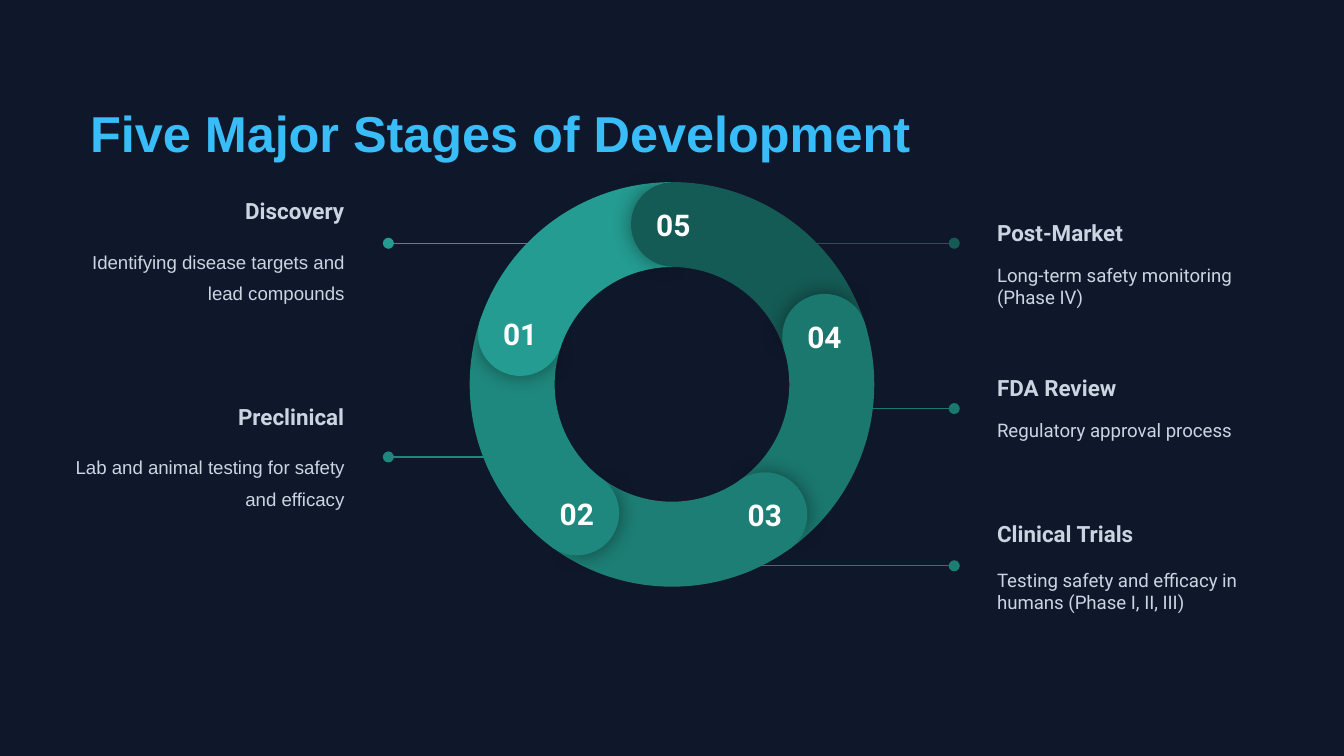
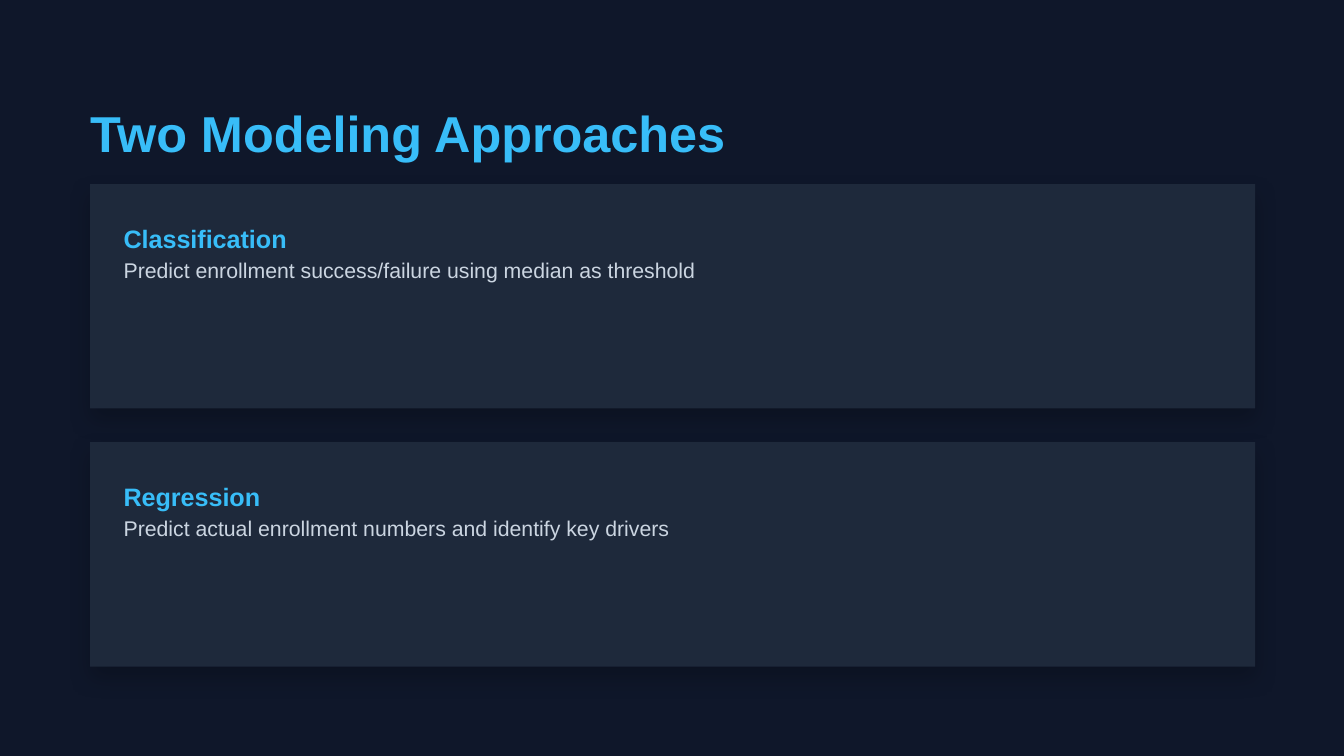
import math

import lxml.etree
import pptx
import pptx.dml.color
import pptx.enum.shapes
import pptx.enum.text
import pptx.oxml.ns
import pptx.util

Inches = pptx.util.Inches
Pt = pptx.util.Pt
RGBColor = pptx.dml.color.RGBColor
SHAPE = pptx.enum.shapes.MSO_SHAPE
ALIGN = pptx.enum.text.PP_ALIGN
ANCHOR = pptx.enum.text.MSO_ANCHOR
qn = pptx.oxml.ns.qn

NAVY = RGBColor(0x0F, 0x17, 0x2A)
SLATE = RGBColor(0x1E, 0x29, 0x3B)
SKY = RGBColor(0x38, 0xBD, 0xF8)
MIST = RGBColor(0xCB, 0xD5, 0xE1)
WHITE = RGBColor(0xFF, 0xFF, 0xFF)
TEALS = [
    RGBColor(0x24, 0x9C, 0x91),
    RGBColor(0x1F, 0x88, 0x7E),
    RGBColor(0x1D, 0x7E, 0x75),
    RGBColor(0x1B, 0x78, 0x6F),
    RGBColor(0x15, 0x5B, 0x55),
]

LEFT = dict(x=0.34, dot=2.89, align=ALIGN.RIGHT, font="Arial", lead=1.4)
RIGHT = dict(x=7.32, dot=7.1, align=ALIGN.LEFT, font="Roboto", lead=None)

STAGES = [
    dict(name="Discovery", note="Identifying disease targets and lead compounds",
         side=LEFT, top=1.36, line=1.81, start=4.23, gap=9.4, pad=0.1),
    dict(name="Preclinical", note="Lab and animal testing for safety and efficacy",
         side=LEFT, top=2.89, line=3.4, start=3.91, gap=9.4, pad=0.1),
    dict(name="Clinical Trials",
         note="Testing safety and efficacy in humans (Phase I, II, III)",
         side=RIGHT, top=3.71, line=4.21, start=5.09, gap=11.7, pad=0.1),
    dict(name="FDA Review", note="Regulatory approval process",
         side=RIGHT, top=2.53, line=3.04, start=6.14, gap=9.4, pad=0.1),
    dict(name="Post-Market", note="Long-term safety monitoring (Phase IV)",
         side=RIGHT, top=1.36, line=1.81, start=5.7, gap=9.4, pad=0.3),
]

CARDS = [
    ("Classification",
     "Predict enrollment success/failure using median as threshold"),
    ("Regression",
     "Predict actual enrollment numbers and identify key drivers"),
]

MID_X, MID_Y = 5.0, 2.86
RING, KNOB, ORBIT = 3.01, 0.63, 1.19
STEP = 72


def write(frame, text, size, color, font="Arial", bold=False,
          align=ALIGN.LEFT, lead=None, before=None):
    para = frame.add_paragraph() if frame.text else frame.paragraphs[0]
    para.alignment = align
    if lead:
        para.line_spacing = lead
    if before:
        para.space_before = Pt(before)
    run = para.add_run()
    run.text = text
    run.font.size = Pt(size)
    run.font.name = font
    run.font.bold = bold
    run.font.color.rgb = color


def setup(frame, inset=0, top=None, anchor=ANCHOR.TOP):
    frame.word_wrap = True
    frame.auto_size = pptx.enum.text.MSO_AUTO_SIZE.NONE
    frame.vertical_anchor = anchor
    frame.margin_left = frame.margin_right = Inches(inset)
    frame.margin_bottom = Inches(inset)
    frame.margin_top = Inches(inset if top is None else top)
    return frame


def add_box(shapes, x, y, w, h, **kind):
    box = shapes.add_textbox(Inches(x), Inches(y), Inches(w), Inches(h))
    return setup(box.text_frame, **kind)


def add_form(shapes, kind, x, y, w, h, color, turn=0, adjust=()):
    form = shapes.add_shape(kind, Inches(x), Inches(y), Inches(w), Inches(h))
    form.shadow.inherit = False
    form.fill.solid()
    form.fill.fore_color.rgb = color
    form.line.fill.background()
    form.rotation = turn % 360
    for i, value in enumerate(adjust):
        form.adjustments[i] = value
    return form


def cast(form, alpha, blur, dist=0, angle=0):
    effects = form._element.spPr.find(qn("a:effectLst"))
    shade = lxml.etree.SubElement(
        effects, qn("a:outerShdw"), blurRad=str(Pt(blur)), dist=str(Pt(dist)),
        dir=str(angle * 60000), algn="ctr", rotWithShape="0")
    tone = lxml.etree.SubElement(shade, qn("a:srgbClr"), val="000000")
    lxml.etree.SubElement(tone, qn("a:alpha"), val=str(alpha * 1000))


def add_lead(shapes, start, end, y, color):
    line = shapes.add_connector(
        pptx.enum.shapes.MSO_CONNECTOR.STRAIGHT,
        Inches(start), Inches(y), Inches(end), Inches(y))
    line.line.color.rgb = color
    line.line.width = Pt(0.75)
    props = line._element.spPr
    lxml.etree.SubElement(props.find(qn("a:ln")), qn("a:tailEnd"), type="oval")
    lxml.etree.SubElement(props, qn("a:effectLst"))


def add_slide(deck, text):
    slide = deck.slides.add_slide(deck.slide_layouts[5])
    title = slide.shapes.title
    title.left, title.top = Inches(0.67), Inches(0.67)
    title.width, title.height = Inches(8.84), Inches(0.45)
    write(setup(title.text_frame), text, 27, SKY, bold=True, lead=1.2)
    return slide


def add_stage(slide, stage, color):
    shapes = slide.shapes.add_group_shape().shapes
    side = stage["side"]
    add_lead(shapes, stage["start"], side["dot"], stage["line"], color)
    frame = add_box(shapes, side["x"], stage["top"], 2.32, 1.01, inset=0.1,
                    top=stage["pad"], anchor=ANCHOR.MIDDLE)
    write(frame, stage["name"], 12, MIST, font="Roboto", bold=True,
          align=side["align"])
    write(frame, stage["note"], 10, MIST, font=side["font"],
          align=side["align"], lead=side["lead"], before=stage["gap"])


def add_ring(slide):
    shapes = slide.shapes.add_group_shape().shapes
    for i, color in enumerate(TEALS):
        add_form(shapes, SHAPE.BLOCK_ARC, MID_X - RING / 2, MID_Y - RING / 2,
                 RING, RING, color, 348.6 - STEP * i,
                 (125.5, 169.1, 0.21))
    for i, color in enumerate(TEALS):
        angle = math.radians(198.5 - STEP * i)
        x = MID_X + ORBIT * math.cos(angle)
        y = MID_Y + ORBIT * math.sin(angle)
        spot = (x - KNOB / 2, y - KNOB / 2, KNOB, KNOB, color)
        turn = 284.1 - STEP * i
        cap = add_form(shapes, SHAPE.PIE, *spot, turn, (61.9, 149.96))
        cast(cap, 43, 11.2)
        add_form(shapes, SHAPE.PIE, *spot, turn + 179.3, (40.28, 171.84))
        label = add_box(shapes, x - 0.28, y - 0.23, 0.56, 0.29, inset=0.1)
        write(label, f"{i + 1:02}", 16, WHITE, font="Roboto", bold=True,
              align=ALIGN.CENTER)


def add_cards(slide):
    for i, (name, note) in enumerate(CARDS):
        y = 1.37 + 1.92 * i
        card = add_form(slide.shapes, SHAPE.RECTANGLE, 0.67, y, 8.67, 1.67,
                        SLATE)
        cast(card, 20, 12, 6, 90)
        head = add_box(slide.shapes, 0.92, y + 0.25, 8.33, 0.22)
        write(head, name, 13.5, SKY, bold=True, lead=1.2)
        body = add_box(slide.shapes, 0.92, y + 0.47, 8.33, 0.22)
        write(body, note, 11.4, MIST, lead=1.4)


def main():
    deck = pptx.Presentation()
    deck.slide_width = Inches(10)
    deck.slide_height = deck.slide_width * 9 // 16
    back = deck.slide_master.background.fill
    back.solid()
    back.fore_color.rgb = NAVY

    cycle = add_slide(deck, "Five Major Stages of Development")
    for stage, color in zip(STAGES, TEALS):
        add_stage(cycle, stage, color)
    add_ring(cycle)

    add_cards(add_slide(deck, "Two Modeling Approaches"))
    deck.save("out.pptx")


if __name__ == "__main__":
    main()
